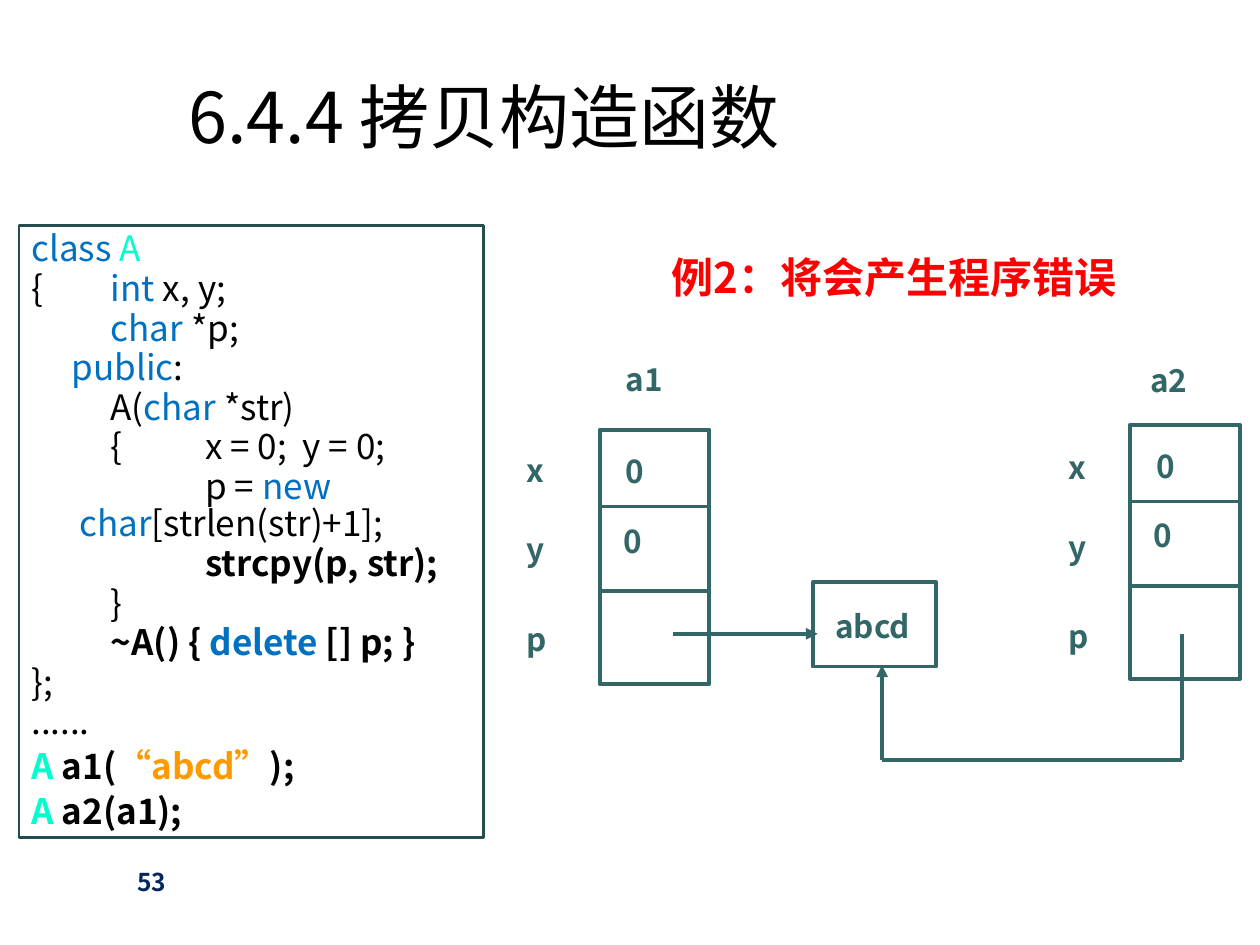
import pptx
import pptx.util
import pptx.dml.color
import pptx.enum.shapes
import pptx.enum.text
import pptx.oxml.ns
from lxml import etree

Inches, Pt = pptx.util.Inches, pptx.util.Pt
RGB = pptx.dml.color.RGBColor
BLACK = RGB(0, 0, 0)
BLUE = RGB(0x00, 0x70, 0xC0)
MINT = RGB(0x00, 0xFF, 0xCC)
GOLD = RGB(0xFF, 0x99, 0x00)
RED = RGB(0xFF, 0, 0)
NAVY = RGB(0x05, 0x25, 0x5E)
TEAL = RGB(0x33, 0x66, 0x66)
DARK = RGB(0x26, 0x4D, 0x4D)
FONT = "Noto Sans CJK SC"

# Each line: left margin, first-line indent, bold, runs of (text, colour)
CODE = [
    (0.38, -0.38, False, [("class ", BLUE), ("A", MINT)]),
    (0.63, -0.63, False, [("{\t", BLACK), ("int", BLUE), (" x, y;", BLACK)]),
    (0.63, 0, False, [("char", BLUE), (" *p;", BLACK)]),
    (0.32, 0, False, [("public", BLUE), (":", BLACK)]),
    (0.63, 0, False, [("A(", BLACK), ("char", BLUE), (" *str)", BLACK)]),
    (1.38, -0.75, False, [("{\tx = 0;  y = 0;", BLACK)]),
    (0.38, 1, False, [("p = ", BLACK), ("new char", BLUE),
                      ("[strlen(str)+1];", BLACK)]),
    (1.38, 0, True, [("strcpy(p, str);", BLACK)]),
    (0.63, 0, False, [("}", BLACK)]),
    (0.63, 0, True, [("~A() { ", BLACK), ("delete", BLUE),
                     (" [] p; }", BLACK)]),
    (0.38, -0.38, False, [("};", BLACK)]),
    (0.38, -0.38, False, [("......", BLACK)]),
    (0.38, -0.38, True, [("A", MINT), (" a1(", BLACK), ("“abcd”", GOLD),
                         (");", BLACK)]),
    (0.38, -0.38, True, [("A", MINT), (" a2(a1);", BLACK)]),
]


def add_run(para, text, color, size, bold):
    run = para.add_run()
    run.text = text
    form = {"name": FONT, "size": Pt(size), "bold": bold}
    for key, value in form.items():
        setattr(run.font, key, value)
    run.font.color.rgb = color
    east = etree.SubElement(run.font._element, pptx.oxml.ns.qn("a:ea"))
    east.set("typeface", FONT)


def add_text(slide, text, box, color=TEAL, size=18, bold=True, wrap=False,
             anchor=pptx.enum.text.MSO_ANCHOR.TOP):
    frame = slide.shapes.add_textbox(*map(Inches, box)).text_frame
    frame.word_wrap = wrap
    frame.vertical_anchor = anchor
    add_run(frame.paragraphs[0], text, color, size, bold)


def add_box(slide, box, color=TEAL, width=2.25):
    kind = pptx.enum.shapes.MSO_SHAPE.RECTANGLE
    shape = slide.shapes.add_shape(kind, *map(Inches, box))
    shape.shadow.inherit = False
    shape.fill.background()
    shape.line.color.rgb = color
    shape.line.width = Pt(width)
    return shape


def add_line(slide, start, end, arrow=False):
    kind = pptx.enum.shapes.MSO_CONNECTOR.STRAIGHT
    line = slide.shapes.add_connector(kind, *map(Inches, start + end))
    line.line.color.rgb = TEAL
    line.line.width = Pt(2.25)
    qn = pptx.oxml.ns.qn
    if arrow:
        tail = etree.SubElement(line.line._get_or_add_ln(), qn("a:tailEnd"))
        tail.set("type", "triangle")
    etree.SubElement(line._element.spPr, qn("a:effectLst"))


def add_code(slide, box):
    frame = add_box(slide, box, DARK, 1.5).text_frame
    frame.word_wrap = True
    frame.vertical_anchor = pptx.enum.text.MSO_ANCHOR.TOP
    for i, (left, first, bold, runs) in enumerate(CODE):
        para = frame.paragraphs[0] if i == 0 else frame.add_paragraph()
        gap = 4 if i >= len(CODE) - 2 else 1
        form = {"alignment": pptx.enum.text.PP_ALIGN.LEFT,
                "line_spacing": 0.9, "space_before": Pt(gap)}
        for key, value in form.items():
            setattr(para, key, value)
        props = para._p.get_or_add_pPr()
        props.set("marL", str(Inches(left)))
        props.set("indent", str(Inches(first)))
        for text, color in runs:
            add_run(para, text, color, 20, bold)


def add_record(slide, name, x, y, name_at, key_at):
    """Draw an object as three cells; name_at and key_at are offsets."""
    wide, high = 0.87, 2.02
    add_box(slide, (x, y, wide, high))
    for down in (0.61, 1.28):
        add_line(slide, (x, y + down), (x + wide, y + down))
    add_text(slide, name, (x + name_at[0], y + name_at[1], 0.5, 0.4))
    for key, down in zip("xyp", (0, 0.63, 1.34)):
        add_text(slide, key,
                 (x + key_at[0], y + key_at[1] + down, 0.36, 0.4))
    for left, down in ((0.11, 0.13), (0.09, 0.68)):
        add_text(slide, "0", (x + left, y + down, 0.36, 0.4))


def add_target(slide, x, y):
    """Draw the shared string and the arrows of both pointers to it."""
    add_box(slide, (x, y, 0.98, 0.67))
    add_text(slide, "abcd", (x + 0.08, y + 0.15, 0.81, 0.4))
    mid, low = y + 0.41, y + 1.41
    left, right = x + 0.55, x + 2.93
    add_line(slide, (x - 1.11, mid), (x + 0.04, mid), True)
    add_line(slide, (right, mid), (right, low))
    add_line(slide, (right, low), (left, low))
    add_line(slide, (left, low), (left, y + 0.66), True)


def main():
    deck = pptx.Presentation()
    deck.slide_width, deck.slide_height = Inches(10), Inches(7.5)
    slide = deck.slides.add_slide(deck.slide_layouts[6])
    add_code(slide, (0.15, 1.79, 3.69, 4.86))
    add_record(slide, "a1", 4.76, 3.41, (0.11, -0.6), (-0.68, 0.12))
    add_record(slide, "a2", 8.97, 3.37, (0.06, -0.55), (-0.59, 0.14))
    add_target(slide, 6.45, 4.62)
    add_text(slide, "6.4.4 拷贝构造函数", (1.4, 0.08, 7.67, 1.67), BLACK, 40,
             False, True, pptx.enum.text.MSO_ANCHOR.MIDDLE)
    add_text(slide, "例2：将会产生程序错误", (5.23, 1.95, 3.98, 0.51), RED, 24,
             wrap=True)
    add_text(slide, "53", (0.99, 6.83, 2.08, 0.5), NAVY, 14, wrap=True)
    deck.save("out.pptx")


if __name__ == "__main__":
    main()
